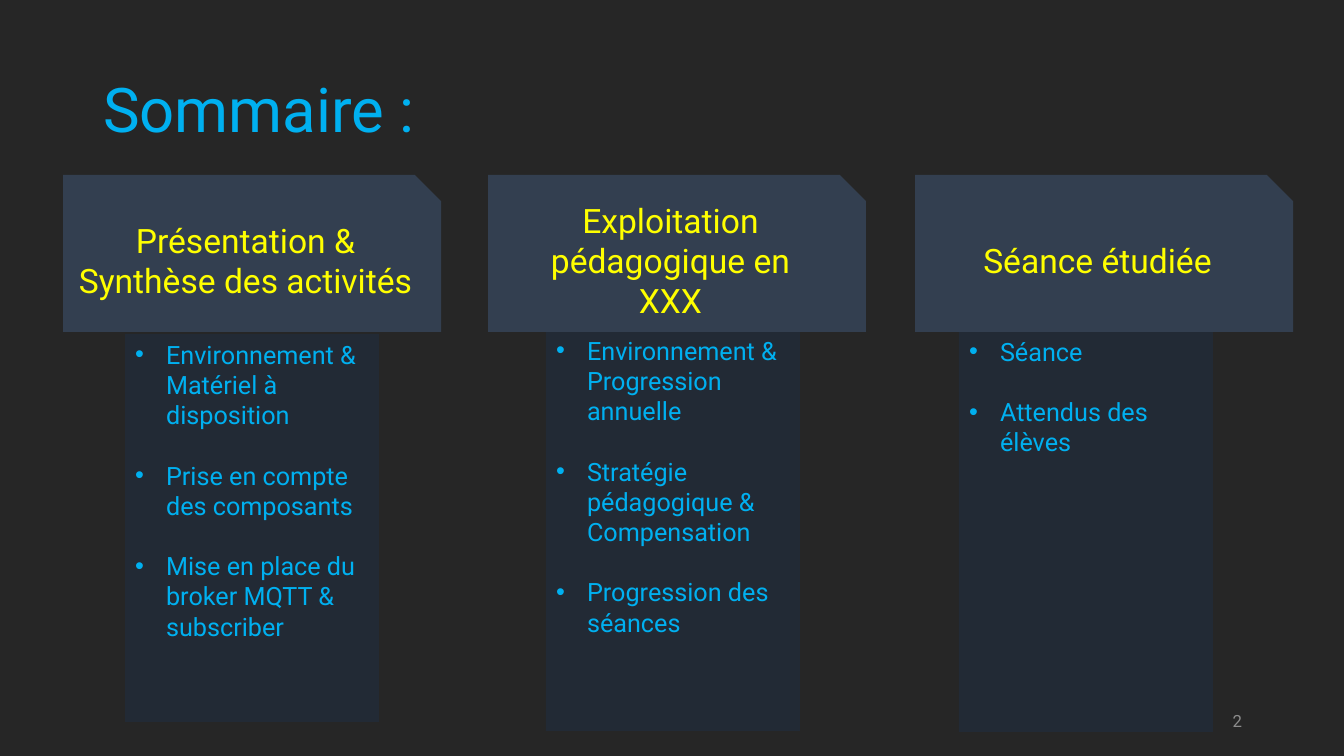
import dataclasses

import pptx
import pptx.dml.color
import pptx.enum.shapes
import pptx.enum.text
import pptx.util
from lxml import etree
from pptx.oxml.ns import qn

ALIGN = pptx.enum.text.PP_ALIGN
ANCHOR = pptx.enum.text.MSO_ANCHOR
COMPARISON_LAYOUT = 4
PX = 914400 / 100.8


@dataclasses.dataclass(frozen=True)
class Theme:
    font: str = "Roboto"
    background: str = "262626"
    panel: str = "222A35"
    header: str = "333F50"
    accent: str = "00B0F0"
    highlight: str = "FFFF00"
    muted: str = "8C8C8C"
    title_size: int = 44
    header_size: int = 24
    list_size: int = 18
    number_size: int = 12


def px(length):
    return pptx.util.Emu(round(length * PX))


def paint(fill, color):
    fill.solid()
    fill.fore_color.rgb = pptx.dml.color.RGBColor.from_string(color)


class SlideBuilder:
    def __init__(self, page, theme):
        self.page = page
        self.theme = theme
        title, *self.free_bodies = page.placeholders
        self.title_box = title
        paint(page.background.fill, theme.background)

    def place(self, box, bounds):
        for name, length in zip(("left", "top", "width", "height"), bounds):
            setattr(box, name, px(length))

    def set_text(self, box, lines, size, color, anchor, **para_format):
        frame = box.text_frame
        frame_format = {
            "word_wrap": True,
            "auto_size": pptx.enum.text.MSO_AUTO_SIZE.NONE,
            "vertical_anchor": anchor,
        }
        for name, value in frame_format.items():
            setattr(frame, name, value)
        frame.text = "\n".join(lines)
        para_format = {
            "alignment": ALIGN.LEFT,
            "line_spacing": 1.0,
            "space_before": pptx.util.Pt(0),
            "space_after": pptx.util.Pt(0),
        } | para_format
        span_format = {"name": self.theme.font, "size": pptx.util.Pt(size), "bold": False}
        for para in frame.paragraphs:
            for name, value in para_format.items():
                setattr(para, name, value)
            for span in para.runs:
                for name, value in span_format.items():
                    setattr(span.font, name, value)
                paint(span.font.fill, color)

    def title(self, bounds, text):
        self.place(self.title_box, bounds)
        self.set_text(self.title_box, [text], self.theme.title_size, self.theme.accent,
                      ANCHOR.MIDDLE, line_spacing=0.9)

    def bullet_panel(self, bounds, items, indent=31):
        box = self.free_bodies.pop(0)
        self.place(box, bounds)
        paint(box.fill, self.theme.panel)
        self.set_text(box, items, self.theme.list_size, self.theme.accent,
                      ANCHOR.TOP, space_after=pptx.util.Pt(21.5))
        for para in box.text_frame.paragraphs:
            properties = para._p.get_or_add_pPr()
            properties.set("marL", str(px(indent)))
            properties.set("indent", str(-px(indent)))
            etree.SubElement(properties, qn("a:buFont"), typeface="Arial")
            etree.SubElement(properties, qn("a:buChar"), char="•")

    def header(self, bounds, lines):
        shape = pptx.enum.shapes.MSO_SHAPE.SNIP_1_RECTANGLE
        box = self.page.shapes.add_shape(shape, *map(px, bounds))
        box.shadow.inherit = False
        box.line.fill.background()
        paint(box.fill, self.theme.header)
        self.set_text(box, lines, self.theme.header_size, self.theme.highlight,
                      ANCHOR.MIDDLE, alignment=ALIGN.CENTER)

    def page_number(self, bounds, text):
        box = self.page.shapes.add_textbox(*map(px, bounds))
        self.set_text(box, [text], self.theme.number_size, self.theme.muted,
                      ANCHOR.MIDDLE, alignment=ALIGN.RIGHT)

    def remove_unused_bodies(self):
        for box in self.free_bodies:
            box.element.getparent().remove(box.element)


# Header left, header lines, panel bounds, panel items
COLUMNS = [
    (63, ["Présentation &", "Synthèse des activités"], (125, 334, 254, 388),
     ["Environnement & Matériel à disposition",
      "Prise en compte des composants",
      "Mise en place du broker MQTT & subscriber"]),
    (488, ["Exploitation pédagogique en\vXXX"], (546, 330, 254, 401),
     ["Environnement & Progression annuelle",
      "Stratégie pédagogique & Compensation",
      "Progression des séances"]),
    (915, ["Séance étudiée"], (959, 331, 254, 401),
     ["Séance", "Attendus des élèves"]),
]


def main():
    deck = pptx.Presentation()
    deck.slide_width, deck.slide_height = px(1344), px(756)
    page = deck.slides.add_slide(deck.slide_layouts[COMPARISON_LAYOUT])
    builder = SlideBuilder(page, Theme())
    builder.title((93, 40, 587, 146), "Sommaire :")
    for header_left, header_lines, panel_bounds, items in COLUMNS:
        builder.bullet_panel(panel_bounds, items)
        builder.header((header_left, 175, 378, 157), header_lines)
    builder.page_number((950, 701, 302, 40), "2")
    builder.remove_unused_bodies()
    deck.save("out.pptx")


if __name__ == "__main__":
    main()
